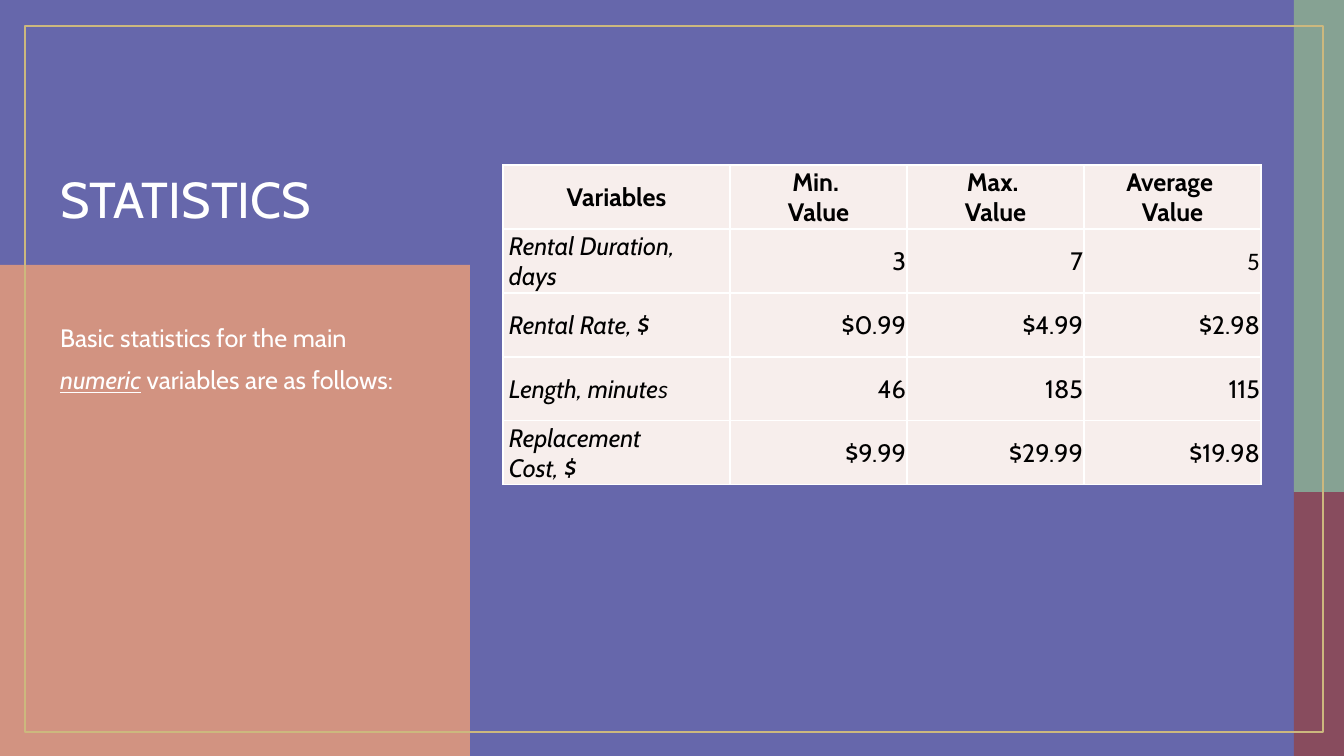
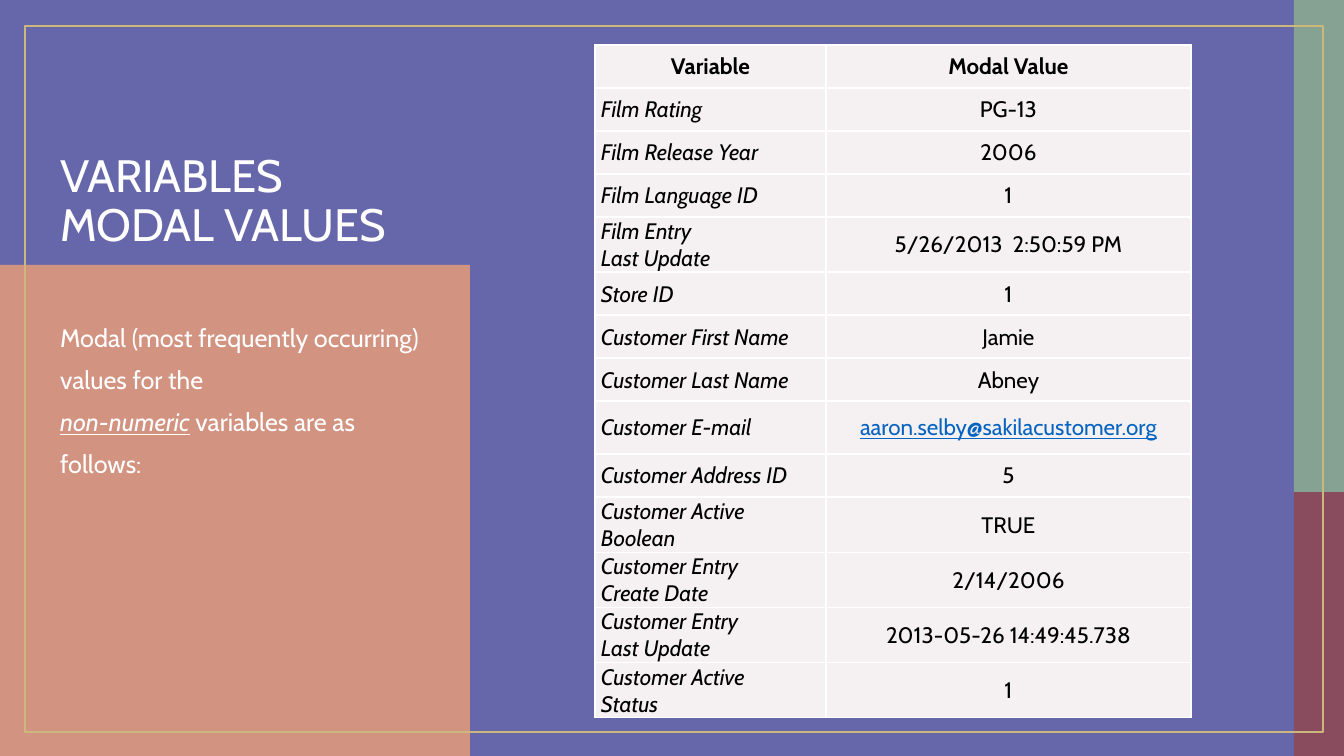
from copy import deepcopy

from lxml.etree import SubElement
from pptx import Presentation
from pptx.dml.color import RGBColor
from pptx.enum.shapes import MSO_SHAPE
from pptx.enum.text import MSO_ANCHOR, MSO_AUTO_SIZE, PP_ALIGN
from pptx.oxml.ns import qn
from pptx.util import Emu, Pt

# Palette
BLUE = RGBColor(0x66, 0x67, 0xAB)
CORAL = RGBColor(0xD2, 0x93, 0x81)
WINE = RGBColor(0x88, 0x4C, 0x5E)
SAGE = RGBColor(0x86, 0xA2, 0x93)
GOLD = RGBColor(0xCC, 0xB8, 0x7E)
WHITE = RGBColor(0xFF, 0xFF, 0xFF)
BLACK = RGBColor(0x00, 0x00, 0x00)
LINK = RGBColor(0x05, 0x63, 0xC1)
ROSE_TINT = RGBColor(0xF7, 0xEE, 0xEC)
GREY_TINT = RGBColor(0xF5, 0xF1, 0xF2)

# Shared geometry, in px
WIDTH, HEIGHT = 1344, 756
SCALE = 12192000 / WIDTH
BANDS = [
    ((0, 265, 470, 491), CORAL),
    ((1294, 490, 50, 266), WINE),
    ((1294, 0, 50, 492), SAGE),
]
FRAME = (25, 26, 1298, 706)
TITLE = (50, 154, 399, 97)
BODY = (50, 306, 382, 359)

# Shared text formats
STRESS = {"italic": True, "underline": True}
CALIBRI = {"name": "Calibri"}
TITLE_PARA = {"line_spacing": 0.9, "alignment": PP_ALIGN.LEFT}
BODY_PARA = {"line_spacing": Pt(30), "space_before": Pt(0)}


def px(length):
    return Emu(round(length * SCALE))


def set_values(target, values):
    for name, value in values.items():
        if name == "color":
            target.color.rgb = value
        else:
            setattr(target, name, value)


class Deck:
    """Holds the style and the current page."""

    def __init__(self):
        self.deck = Presentation()
        self.deck.slide_width, self.deck.slide_height = px(WIDTH), px(HEIGHT)
        background = self.deck.slide_master.background.fill
        background.solid()
        background.fore_color.rgb = BLUE
        self.layout = self.deck.slide_layouts.get_by_name("Section Header")
        self.page = None

    def add_page(self, title, title_size, body):
        self.page = self.deck.slides.add_slide(self.layout)
        for place, color in reversed(BANDS):
            band = self.rectangle(place)
            band.fill.solid()
            band.fill.fore_color.rgb = color
            band.line.fill.background()
            self.page.shapes._spTree.insert(2, band._element)  # send to back
        self.placeholder(0, TITLE, MSO_ANCHOR.MIDDLE, [title], TITLE_PARA, title_size)
        self.placeholder(1, BODY, MSO_ANCHOR.TOP, body, BODY_PARA, 18)
        frame = self.rectangle(FRAME)
        frame.fill.background()
        set_values(frame.line, {"color": GOLD, "width": Pt(2)})

    def rectangle(self, place):
        box = self.page.shapes.add_shape(MSO_SHAPE.RECTANGLE, *map(px, place))
        box.shadow.inherit = False
        return box

    def placeholder(self, index, place, anchor, paragraphs, para_format, size):
        box = self.page.placeholders[index]
        set_values(box, dict(zip(("left", "top", "width", "height"), map(px, place))))
        set_values(box.text_frame, {"vertical_anchor": anchor, "word_wrap": True,
                                    "auto_size": MSO_AUTO_SIZE.NONE})
        self.add_text(box.text_frame, paragraphs, para_format,
                      {"size": Pt(size), "color": WHITE, "bold": False})

    def add_text(self, frame, paragraphs, para_format, font_format):
        """A paragraph is a string or a list of (text, format) spans."""
        for number, content in enumerate(paragraphs):
            para = frame.add_paragraph() if number else frame.paragraphs[0]
            set_values(para, para_format)
            spans = [(content, {})] if isinstance(content, str) else content
            for text, extra in spans:
                for line_number, line in enumerate(text.split("\v")):
                    if line_number:
                        para.add_line_break()
                    span = para.add_run()
                    span.text = line
                    set_values(span.font, {"name": "Cabin", **font_format, **extra})
            for line_break in para._p.findall(qn("a:br")):
                line_break.append(deepcopy(para.runs[0]._r.rPr))

    def table(self, left, top, widths, heights, rows, size, tint, value_align):
        place = (left, top, sum(widths), sum(heights))
        grid = self.page.shapes.add_table(
            len(rows), len(widths), *map(px, place)).table
        grid.horz_banding = False
        for column, width in zip(grid.columns, widths):
            column.width = px(width)
        for row, height in zip(grid.rows, heights):
            row.height = px(height)
        for row_number, row in enumerate(rows):
            for column_number, content in enumerate(row):
                header = row_number == 0
                label = column_number == 0 and not header
                align = (PP_ALIGN.CENTER if header
                         else PP_ALIGN.LEFT if label else value_align)
                cell = grid.cell(row_number, column_number)
                self.style_cell(cell, tint, 6 if label else 1)
                paragraphs = (content.split("\n") if isinstance(content, str)
                              else [content])
                self.add_text(cell.text_frame, paragraphs, {"alignment": align},
                              {"size": Pt(size), "color": BLACK,
                               "bold": header, "italic": label})

    def style_cell(self, cell, tint, indent):
        set_values(cell, {"vertical_anchor": MSO_ANCHOR.MIDDLE,
                          "margin_left": px(indent), "margin_right": px(1),
                          "margin_top": px(1), "margin_bottom": px(0)})
        properties = cell._tc.get_or_add_tcPr()
        for side in ("a:lnL", "a:lnR", "a:lnT", "a:lnB"):
            line = SubElement(properties, qn(side), w=str(Pt(1)))
            fill = SubElement(line, qn("a:solidFill"))
            SubElement(fill, qn("a:srgbClr"), val=str(WHITE))
        cell.fill.solid()
        cell.fill.fore_color.rgb = tint


STATISTICS = [
    ("Variables", "Min. \nValue", "Max. \nValue", "Average \nValue"),
    ("Rental Duration,\ndays", "3", "7", [("5", CALIBRI)]),
    ("Rental Rate, $", "$0.99", "$4.99", "$2.98"),
    ([("Length, minute", {}), ("s", CALIBRI)], "46", "185", "115"),
    ("Replacement\nCost, $", "$9.99", "$29.99", "$19.98"),
]

EMAIL = [("aaron.selby@sakilacustomer.org", {"color": LINK, "underline": True})]
MODAL_VALUES = [
    ("Variable", "Modal Value"),
    ("Film Rating", "PG-13"),
    ("Film Release Year", "2006"),
    ("Film Language ID", "1"),
    ("Film Entry\nLast Update", "5/26/2013  2:50:59 PM"),
    ("Store ID", "1"),
    ("Customer First Name", "Jamie"),
    ("Customer Last Name", "Abney"),
    ("Customer E-mail", EMAIL),
    ("Customer Address ID", "5"),
    ("Customer Active\nBoolean", "TRUE"),
    ("Customer Entry\nCreate Date", "2/14/2006"),
    ("Customer Entry\nLast Update", "2013-05-26 14:49:45.738"),
    ("Customer Active\nStatus", "1"),
]


def main():
    deck = Deck()

    # Numeric variables
    deck.add_page("STATISTICS", 36, [
        [("Basic statistics for the main ", {}), ("numeric", STRESS),
         (" variables are as follows:", {})],
    ])
    deck.table(503, 165, [227] + [177] * 3, [64] * len(STATISTICS),
               STATISTICS, 18, ROSE_TINT, PP_ALIGN.RIGHT)

    # Non-numeric variables; two-line rows and the address row are taller
    deck.add_page("VARIABLES\vMODAL VALUES", 32.4, [
        "Modal (most frequently occurring) values for the",
        [("non-numeric", STRESS), (" variables are as follows:", {})],
    ])
    heights = [53 if "\n" in label or value is EMAIL else 43
               for label, value in MODAL_VALUES]
    deck.table(595, 45, [231, 365], heights,
               MODAL_VALUES, 16, GREY_TINT, PP_ALIGN.CENTER)

    deck.deck.save("out.pptx")


if __name__ == "__main__":
    main()
